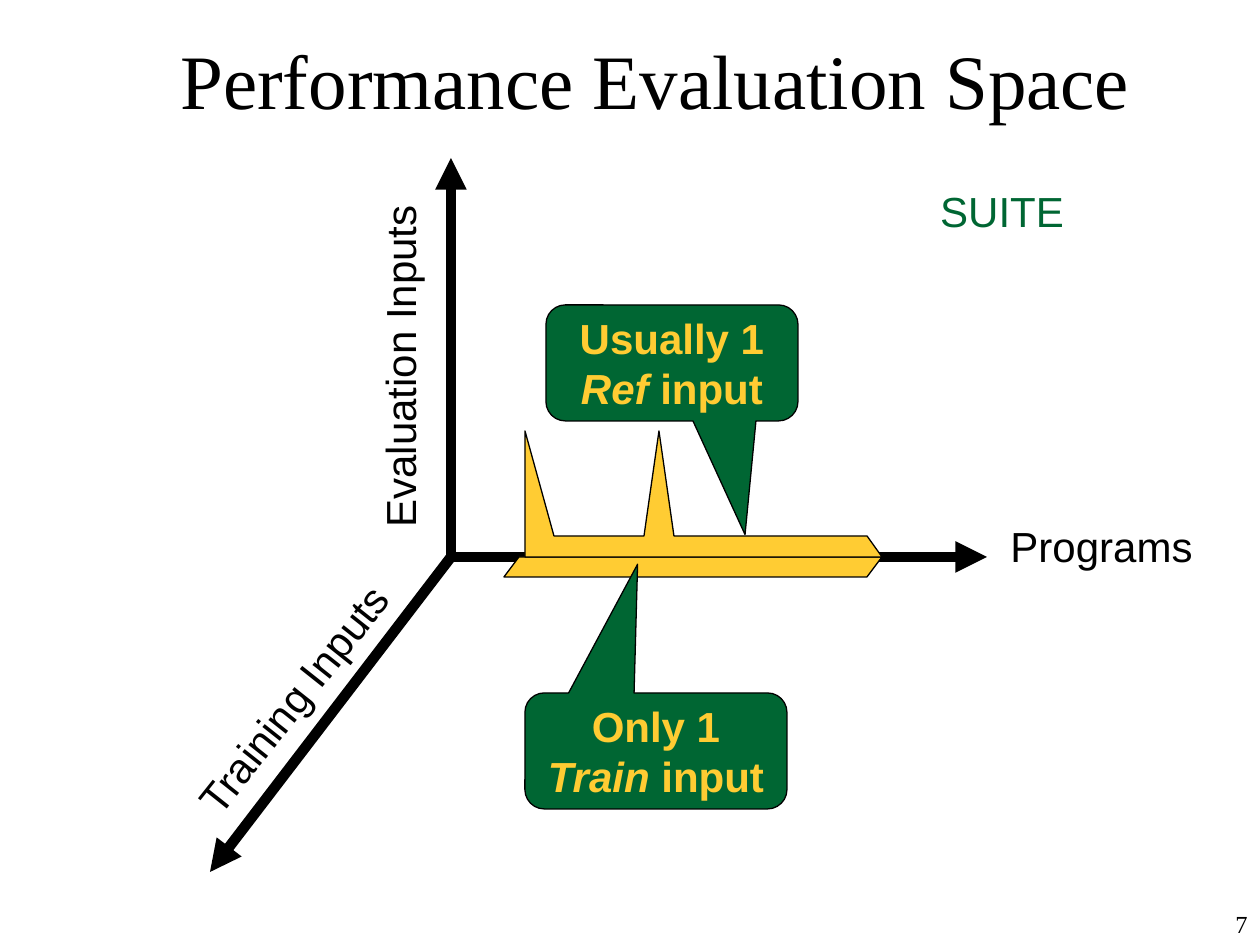
import pptx
import pptx.util
import pptx.dml.color
import pptx.enum.shapes
import pptx.enum.text
import pptx.oxml.ns
import lxml.etree

PX = 914400 / 126
BLACK, GREEN, GOLD = "000000", "006633", "FFCC33"
SANS, SERIF = "Arial", "Times New Roman"
ALIGN = pptx.enum.text.PP_ALIGN
ANCHOR = pptx.enum.text.MSO_ANCHOR

ORIGIN = (451, 557)
AXIS_ENDS = [(451, 158), (987, 557), (210, 872)]

# text, box, size, font, colour, alignment, anchor, wrap, rotation
LABELS = [
    ("Performance Evaluation Space", (168, 0, 1040, 158), 44, SERIF, BLACK,
     ALIGN.LEFT, ANCHOR.MIDDLE, True, 0),
    ("Programs", (998, 514, 207, 63), 24, SANS, BLACK, ALIGN.CENTER, ANCHOR.TOP, False, 0),
    ("Training Inputs", (142, 667, 302, 63), 24, SANS, BLACK,
     ALIGN.CENTER, ANCHOR.TOP, False, 308.5),
    ("SUITE", (912, 179, 180, 63), 24, SANS, GREEN, ALIGN.CENTER, ANCHOR.TOP, False, 0),
    ("7", (1155, 903, 105, 42), 14, SERIF, BLACK, ALIGN.RIGHT, ANCHOR.TOP, True, 0),
]
VERTICAL_LABEL = ("Evaluation Inputs", (368, 199, 76, 335), 24, SANS, BLACK,
                  ALIGN.CENTER, ANCHOR.TOP, False, 0)

TRAIN_BAND = [(519, 557), (504, 577), (867, 577), (882, 557)]
REF_BAND = [(525, 557), (525, 431), (554, 536), (644, 536), (659, 431),
            (674, 536), (867, 536), (882, 557)]

# box, pointer offset, runs as (text, italic)
TRAIN_CALLOUT = ((525, 693, 262, 116), (-0.07, -1.61),
                 [("Only 1 ", False), ("Train", True), (" input", False)])
REF_CALLOUT = ((546, 305, 252, 116), (0.29, 1.48),
               [("Usually 1 ", False), ("Ref", True), (" input", False)])


def emu(*values):
    return [round(v * PX) for v in values]


def rgb(value):
    return pptx.dml.color.RGBColor.from_string(value)


def add_run(p, text, size, font, color, bold=False, italic=False):
    r = p.add_run()
    r.text = text
    r.font.size = pptx.util.Pt(size)
    r.font.name = font
    r.font.color.rgb = rgb(color)
    r.font.bold = bold
    r.font.italic = italic


def add_label(s, text, box, size, font, color, align, anchor, wrap, rotation):
    sp = s.shapes.add_textbox(*emu(*box))
    sp.rotation = rotation
    tf = sp.text_frame
    tf.word_wrap = wrap
    tf.vertical_anchor = anchor
    p = tf.paragraphs[0]
    p.alignment = align
    add_run(p, text, size, font, color)
    return sp


def add_vertical_label(s, label):
    """Add a label that reads from bottom to top."""
    tf = add_label(s, *label).text_frame
    tf.margin_left = tf.margin_right = pptx.util.Inches(0.05)
    tf.margin_top = tf.margin_bottom = pptx.util.Inches(0.1)
    tf._txBody.bodyPr.set("vert", "vert270")


def add_axis(s, end):
    sp = s.shapes.add_connector(pptx.enum.shapes.MSO_CONNECTOR.STRAIGHT,
                                *emu(*ORIGIN, *end))
    sp.line.width = pptx.util.Pt(6)
    sp.line.color.rgb = rgb(BLACK)
    qn = pptx.oxml.ns.qn
    lxml.etree.SubElement(sp.line._get_or_add_ln(), qn("a:tailEnd"), type="triangle")
    lxml.etree.SubElement(sp._element.spPr, qn("a:effectLst"))


def style(sp, fill):
    sp.shadow.inherit = False
    sp.fill.solid()
    sp.fill.fore_color.rgb = rgb(fill)
    sp.line.color.rgb = rgb(BLACK)
    sp.line.width = pptx.util.Pt(0.75)


def add_band(s, points):
    builder = s.shapes.build_freeform(*points[0], scale=PX)
    builder.add_line_segments(points[1:], close=True)
    style(builder.convert_to_shape(), GOLD)


def add_callout(s, box, pointer, runs):
    sp = s.shapes.add_shape(
        pptx.enum.shapes.MSO_SHAPE.ROUNDED_RECTANGULAR_CALLOUT, *emu(*box))
    sp.adjustments[0], sp.adjustments[1] = pointer
    style(sp, GREEN)
    tf = sp.text_frame
    tf.word_wrap = True
    tf.vertical_anchor = ANCHOR.MIDDLE
    p = tf.paragraphs[0]
    p.alignment = ALIGN.CENTER
    for text, italic in runs:
        add_run(p, text, 24, SANS, GOLD, bold=True, italic=italic)


def main():
    prs = pptx.Presentation()
    prs.slide_width, prs.slide_height = emu(1260, 945)
    s = prs.slides.add_slide(prs.slide_layouts[6])
    for end in AXIS_ENDS:
        add_axis(s, end)
    for label in LABELS:
        add_label(s, *label)
    add_vertical_label(s, VERTICAL_LABEL)
    add_band(s, TRAIN_BAND)
    add_callout(s, *TRAIN_CALLOUT)
    add_band(s, REF_BAND)
    add_callout(s, *REF_CALLOUT)
    prs.save("out.pptx")


if __name__ == "__main__":
    main()
